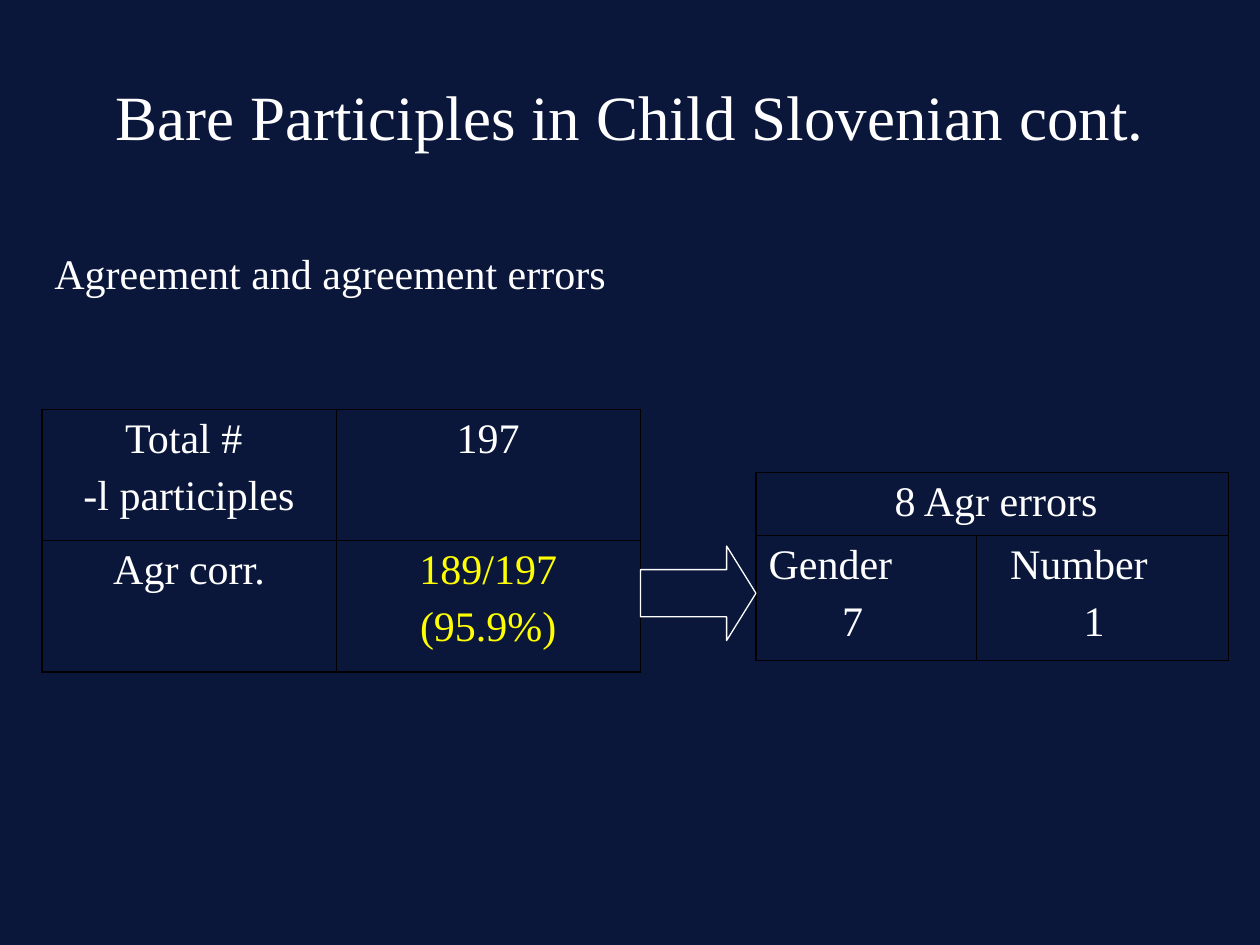
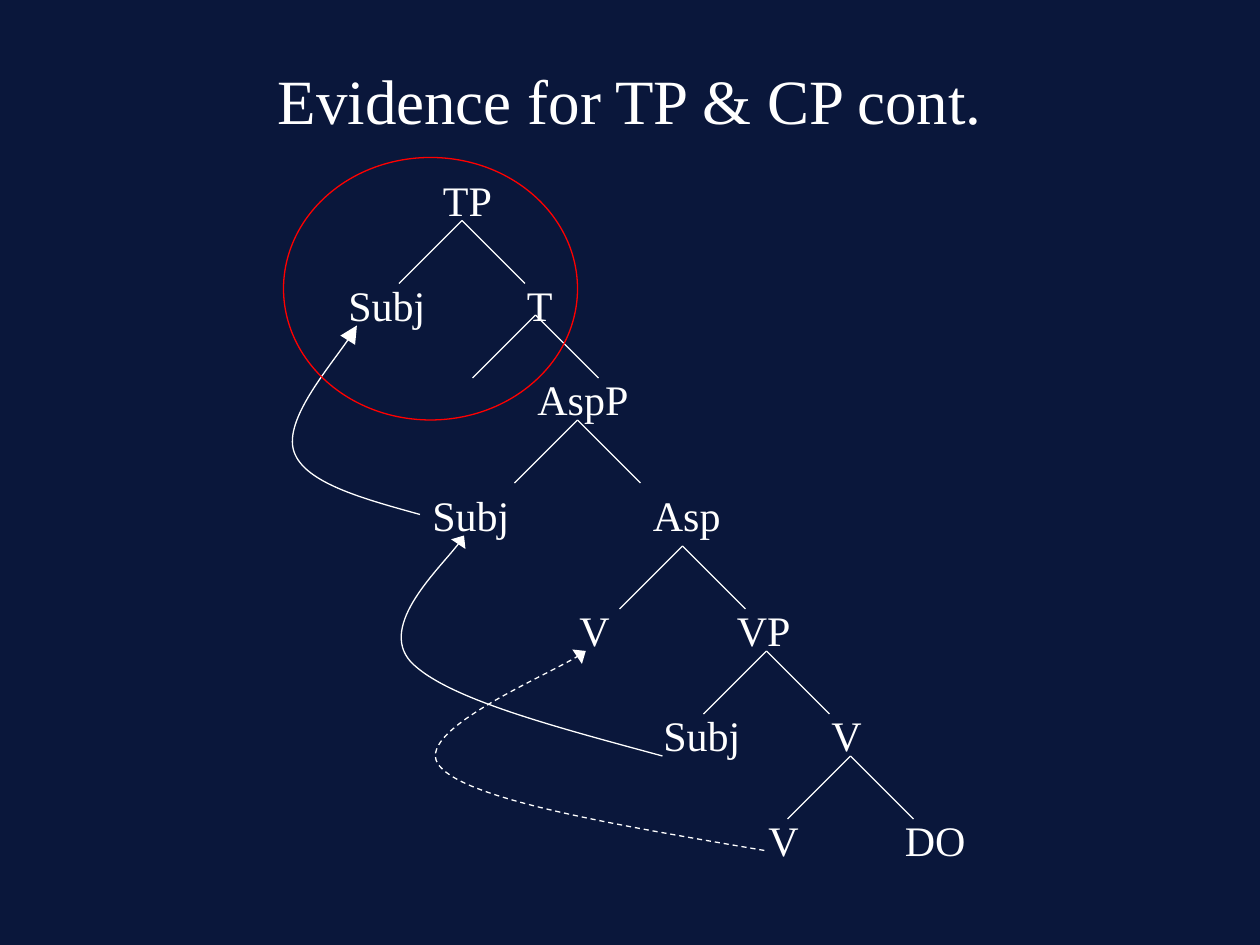
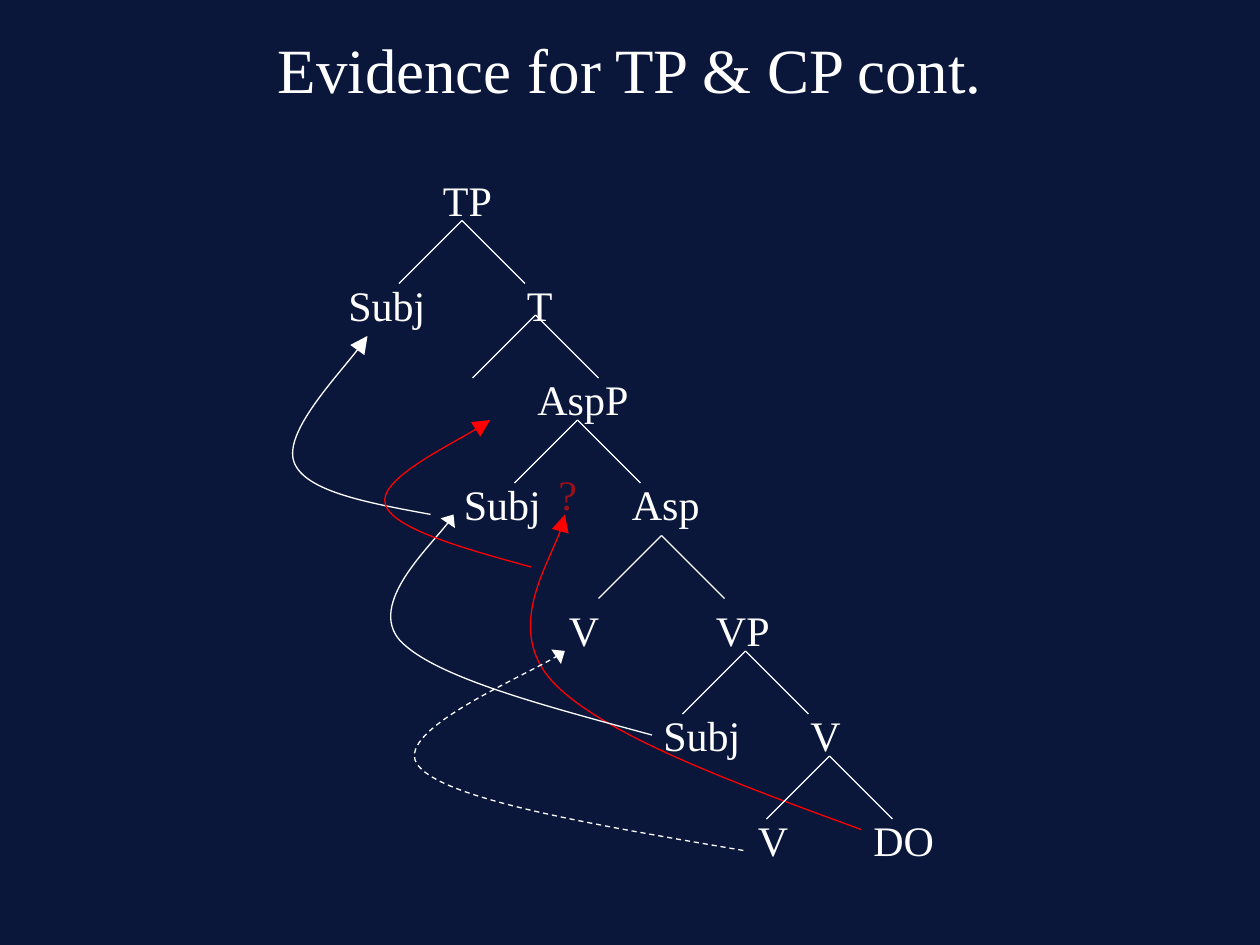
from dataclasses import dataclass
from typing import NamedTuple

from lxml import etree
from pptx import Presentation
from pptx.dml.color import RGBColor
from pptx.enum.dml import MSO_LINE
from pptx.enum.shapes import MSO_CONNECTOR, MSO_SHAPE
from pptx.enum.text import MSO_ANCHOR, MSO_AUTO_SIZE, PP_ALIGN
from pptx.oxml.ns import qn
from pptx.util import Emu, Inches, Pt

LEFT, CENTER = PP_ALIGN.LEFT, PP_ALIGN.CENTER
MIDDLE = MSO_ANCHOR.MIDDLE
NO_AUTOFIT, FIT_SHAPE = MSO_AUTO_SIZE.NONE, MSO_AUTO_SIZE.SHAPE_TO_FIT_TEXT
STRAIGHT = MSO_CONNECTOR.STRAIGHT
RIGHT_ARROW, OVAL = MSO_SHAPE.RIGHT_ARROW, MSO_SHAPE.OVAL
DASH = MSO_LINE.DASH
TITLE_ONLY = 5

GRID_COLUMNS, GRID_ROWS = 120, 90
CELL = Inches(10) // GRID_COLUMNS


@dataclass(frozen=True)
class Theme:
    background: RGBColor = RGBColor(0x0A, 0x17, 0x3B)
    text: RGBColor = RGBColor(0xFF, 0xFF, 0xFF)
    highlight: RGBColor = RGBColor(0xFF, 0xFF, 0x00)
    movement: RGBColor = RGBColor(0xFF, 0x00, 0x00)
    question: RGBColor = RGBColor(0x98, 0x10, 0x19)
    border: str = "000000"
    font: str = "Times New Roman"
    title_size: float = 36
    body_size: float = 24
    space_before: float = 6
    line_width: float = 0.75
    outer_border: float = 1.08
    inner_border: float = 0.45


THEME = Theme()


class Point(NamedTuple):
    column: float
    row: float


class Area(NamedTuple):
    column: float
    row: float
    width: float
    height: float


class Line(NamedTuple):
    text: str
    indent: float = 0  # points
    color: RGBColor = THEME.text


@dataclass(frozen=True)
class CellText:
    lines: list[Line]
    align: PP_ALIGN = CENTER


@dataclass(frozen=True)
class GridTable:
    origin: Point
    columns: list[float]
    rows: list[float]
    cells: list[list[CellText]]


class Label(NamedTuple):
    text: str
    at: Point
    color: RGBColor = THEME.text
    indent: float = 0


@dataclass(frozen=True)
class Movement:
    """A curved arrow: a start point, then three points for each curve."""
    points: list[tuple[float, float]]
    color: RGBColor = THEME.text
    dashed: bool = False
    long_head: bool = True


@dataclass(frozen=True)
class Tree:
    apexes: list[Point]
    labels: list[Label]
    movements: list[Movement]


# Widths of the node labels, in grid columns
LABEL_WIDTHS = {"TP": 7.1, "VP": 7.6, "V": 5.3, "T": 6.9, "Subj": 9.75,
                "Asp": 8.9, "AspP": 11.05, "DO": 8.2, "?": 4.2}
LABEL_HEIGHT = 6
BRANCH_SPAN = 6

PARTICIPLES = GridTable(
    Point(4, 39), [28, 29], [12.5, 12.5],
    [[CellText([Line("Total # "), Line("-l participles")]),
      CellText([Line("197")])],
     [CellText([Line("Agr corr.")]),
      CellText([Line("189/197", color=THEME.highlight),
                Line("(95.9%)", color=THEME.highlight)])]])

# A row with one cell spans all columns
ERRORS = GridTable(
    Point(72, 45), [21, 24], [6, 11.9],
    [[CellText([Line("8 Agr errors", 72)], LEFT)],
     [CellText([Line("Gender"), Line("7", 42)], LEFT),
      CellText([Line("Number", 12), Line("1", 54)], LEFT)]])

SHARED_APEXES = [Point(44, 21), Point(51, 30), Point(55, 40)]
SHARED_LABELS = [
    Label("TP", Point(41, 16)),
    Label("Subj", Point(32, 26)),
    Label("T", Point(47, 26), indent=12),
    Label("AspP", Point(50, 35)),
    Label("Subj", Point(62, 67)),
]
SUBJECT_PATH = [(63.1, 72), (52.8, 69.2), (42.4, 66.5), (39.1, 63),
                (36, 59.5), (43.3, 52.8), (44.2, 51)]
VERB_PATH = [(72.8, 81), (58.8, 78.6), (44.6, 76.2), (41.9, 73),
             (39, 69.8), (53.5, 63.8), (55.8, 62)]


def shifted(points: list[tuple[float, float]], columns: float,
            rows: float) -> list[tuple[float, float]]:
    return [(x + columns, y + rows) for x, y in points]


SUBJECT_TREE = Tree(
    [Point(65, 52), Point(73, 62), Point(81, 72)],
    [Label("Subj", Point(40, 46)), Label("Asp", Point(61, 46)),
     Label("V", Point(54, 57)), Label("VP", Point(69, 57)),
     Label("V", Point(78, 67)), Label("V", Point(72, 77)),
     Label("DO", Point(85, 77))],
    [Movement(SUBJECT_PATH, long_head=False),
     Movement(VERB_PATH, dashed=True, long_head=False),
     Movement([(40, 49), (34.6, 47.5), (29, 46), (28, 43),
               (27, 40), (33, 33), (34, 31)])])

OBJECT_TREE = Tree(
    [Point(63, 51), Point(71, 62), Point(79, 72)],
    [Label("Subj", Point(43, 45)), Label("Asp", Point(59, 45)),
     Label("V", Point(53, 57)), Label("VP", Point(67, 57)),
     Label("V", Point(76, 67)), Label("V", Point(71, 77)),
     Label("DO", Point(82, 77)),
     Label("?", Point(52, 44), THEME.question)],
    [Movement([(82, 79), (69.7, 74.5), (57.5, 70), (52.7, 65),
               (48, 60), (53.5, 51.7), (53.8, 49)], THEME.movement),
     Movement([(41, 49), (35, 47.9), (29, 46.8), (28, 44),
               (27, 41.2), (33.8, 34), (35, 32)]),
     Movement(shifted(SUBJECT_PATH, -1, -2), long_head=False),
     Movement(shifted(VERB_PATH, -2, 0), dashed=True, long_head=False),
     Movement([(50.6, 54), (44, 52.2), (37.3, 50.3), (36.7, 48),
               (36, 45.7), (45, 41.3), (46.7, 40)], THEME.movement)])


def grid(*lengths: float) -> list[Emu]:
    return [Emu(round(length * CELL)) for length in lengths]


def write_lines(frame, lines: list[Line], align: PP_ALIGN = LEFT,
                size: float = THEME.body_size) -> None:
    for index, line in enumerate(lines):
        para = frame.paragraphs[0] if index == 0 else frame.add_paragraph()
        para.alignment = align
        para.space_before = Pt(THEME.space_before if index else 0)
        if line.indent:
            para._p.get_or_add_pPr().set("marL", str(Pt(line.indent)))
        span = para.add_run()
        span.text = line.text
        span.font.name = THEME.font
        span.font.size = Pt(size)
        span.font.color.rgb = line.color


def add_titled_slide(deck, title: str, area: Area):
    page = deck.slides.add_slide(deck.slide_layouts[TITLE_ONLY])
    box = page.shapes.title
    box.left, box.top, box.width, box.height = grid(*area)
    frame = box.text_frame
    frame.auto_size = NO_AUTOFIT
    frame.vertical_anchor = MIDDLE
    write_lines(frame, [Line(title)], CENTER, THEME.title_size)
    return page


def add_text(page, line: Line, area: Area, wrap: bool) -> None:
    frame = page.shapes.add_textbox(*grid(*area)).text_frame
    frame.word_wrap = wrap
    frame.auto_size = NO_AUTOFIT if wrap else FIT_SHAPE
    write_lines(frame, [line])


def set_borders(cell, outer_sides: dict[str, bool]) -> None:
    properties = cell._tc.get_or_add_tcPr()
    for index, (side, outer) in enumerate(outer_sides.items()):
        width = THEME.outer_border if outer else THEME.inner_border
        border = etree.Element(qn(f"a:ln{side}"), w=str(Pt(width)))
        fill = etree.SubElement(border, qn("a:solidFill"))
        etree.SubElement(fill, qn("a:srgbClr"), val=THEME.border)
        properties.insert(index, border)


def add_grid_table(page, content: GridTable) -> None:
    columns, rows = content.columns, content.rows
    area = Area(*content.origin, sum(columns), sum(rows))
    table = page.shapes.add_table(len(rows), len(columns), *grid(*area)).table
    table.first_row = table.horz_banding = False
    for column, width in zip(table.columns, grid(*columns)):
        column.width = width
    for row, height in zip(table.rows, grid(*rows)):
        row.height = height
    last_row, last_column = len(rows) - 1, len(columns) - 1
    for r, texts in enumerate(content.cells):
        spans_row = len(texts) == 1
        if spans_row:
            table.cell(r, 0).merge(table.cell(r, last_column))
        for c in range(len(columns)):
            cell = table.cell(r, c)
            cell.fill.background()
            set_borders(cell, {"L": c == 0,
                               "R": spans_row or c == last_column,
                               "T": r == 0, "B": r == last_row})
            if c < len(texts):
                write_lines(cell.text_frame, texts[c].lines, texts[c].align)


def style_outline(shape, color: RGBColor) -> None:
    shape.shadow.inherit = False
    shape.fill.background()
    shape.line.color.rgb = color
    shape.line.width = Pt(THEME.line_width)


def add_outline(page, kind: MSO_SHAPE, area: Area, color: RGBColor):
    shape = page.shapes.add_shape(kind, *grid(*area))
    style_outline(shape, color)
    return shape


def add_branches(page, apex: Point) -> None:
    for step in (-BRANCH_SPAN, BRANCH_SPAN):
        branch = page.shapes.add_connector(
            STRAIGHT, *grid(*apex, apex.column + step, apex.row + BRANCH_SPAN))
        branch.line.color.rgb = THEME.text
        branch.line.width = Pt(THEME.line_width)
        etree.SubElement(branch._element.spPr, qn("a:effectLst"))


def add_movement(page, movement: Movement) -> None:
    start, *rest = [grid(*point) for point in movement.points]
    builder = page.shapes.build_freeform(*start)
    builder.add_line_segments(rest, close=False)
    shape = builder.convert_to_shape()
    outline = shape._element.xpath(".//a:path")[0]
    segments = outline.findall(qn("a:lnTo"))
    for first in range(0, len(segments), 3):
        curve = etree.SubElement(outline, qn("a:cubicBezTo"))
        for segment in segments[first:first + 3]:
            curve.append(segment[0])
            outline.remove(segment)
    style_outline(shape, movement.color)
    if movement.dashed:
        shape.line.dash_style = DASH
    etree.SubElement(shape.line._get_or_add_ln(), qn("a:tailEnd"),
                     type="triangle", w="lg",
                     len="lg" if movement.long_head else "med")


def add_tree(page, tree: Tree) -> None:
    for movement in tree.movements:
        add_movement(page, movement)
    for apex in SHARED_APEXES + tree.apexes:
        add_branches(page, apex)
    for label in SHARED_LABELS + tree.labels:
        area = Area(*label.at, LABEL_WIDTHS[label.text], LABEL_HEIGHT)
        add_text(page, Line(label.text, label.indent, label.color), area,
                 wrap=False)


def add_agreement_slide(deck) -> None:
    page = add_titled_slide(deck, "Bare Participles in Child Slovenian cont.",
                            Area(9, 7, 102, 8))
    add_text(page, Line("Agreement and agreement errors"),
             Area(4, 23, 103, 7), wrap=True)
    add_grid_table(page, PARTICIPLES)
    add_grid_table(page, ERRORS)
    arrow = add_outline(page, RIGHT_ARROW, Area(61, 52, 11, 9), THEME.text)
    arrow.adjustments[0] = 0.5
    arrow.adjustments[1] = 0.31


def add_evidence_slide(deck, title_row: float, tree: Tree):
    page = add_titled_slide(deck, "Evidence for TP & CP cont.",
                            Area(9, title_row, 102, 7))
    add_tree(page, tree)
    return page


def main() -> None:
    deck = Presentation()
    deck.slide_width = Emu(GRID_COLUMNS * CELL)
    deck.slide_height = Emu(GRID_ROWS * CELL)
    fill = deck.slide_master.background.fill
    fill.solid()
    fill.fore_color.rgb = THEME.background

    add_agreement_slide(deck)
    subject_page = add_evidence_slide(deck, 6, SUBJECT_TREE)
    add_outline(subject_page, OVAL, Area(27, 15, 28, 25), THEME.movement)
    add_evidence_slide(deck, 3, OBJECT_TREE)
    deck.save("out.pptx")


if __name__ == "__main__":
    main()
